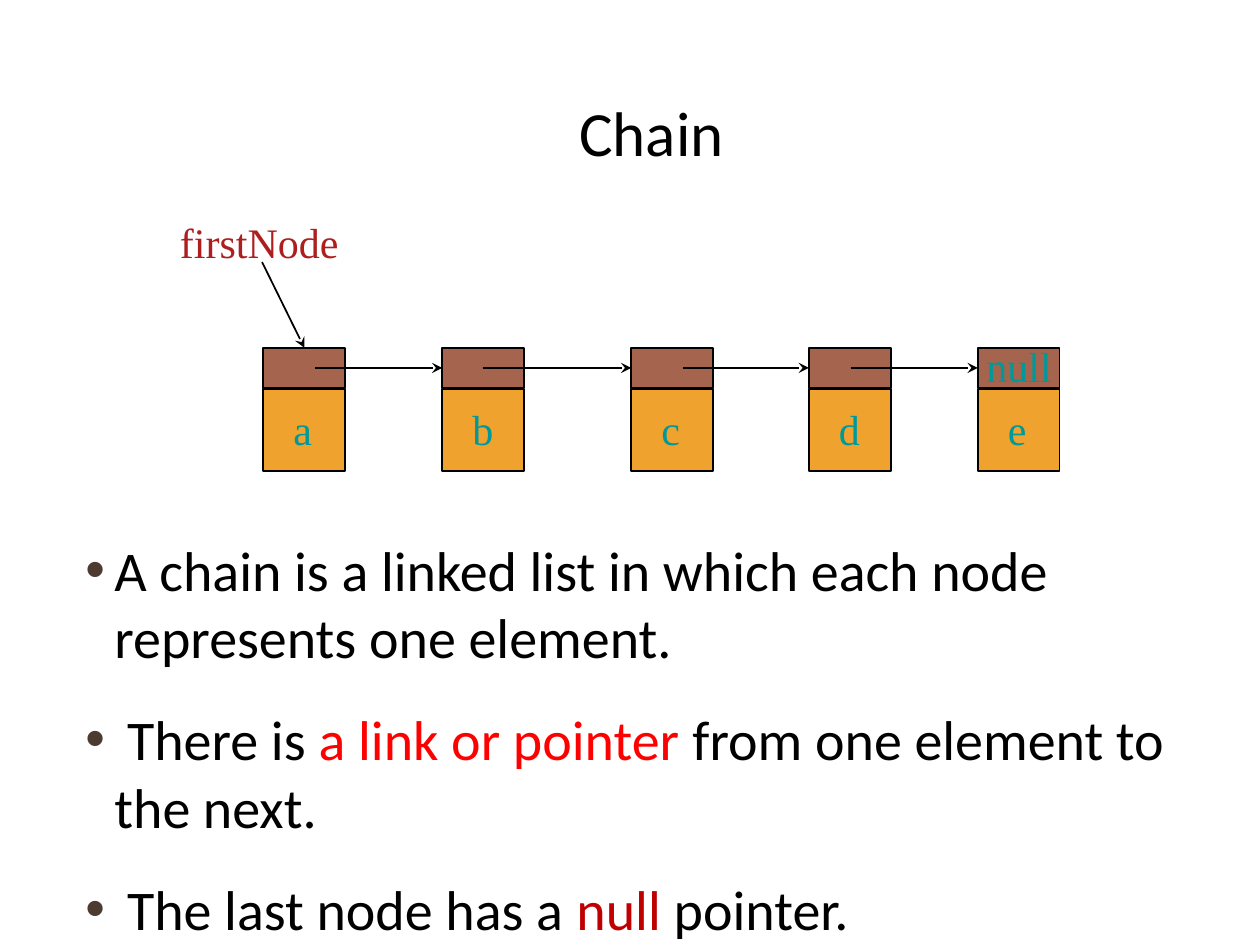
from dataclasses import dataclass
from typing import Optional

from lxml.etree import SubElement
from pptx import Presentation
from pptx.dml.color import RGBColor
from pptx.enum.shapes import MSO_CONNECTOR as Connector, MSO_SHAPE as Shape
from pptx.enum.text import MSO_ANCHOR as Anchor, PP_ALIGN as Align
from pptx.oxml.ns import qn
from pptx.util import Inches, Pt


@dataclass(frozen=True)
class Theme:
    black: str = "000000"
    red: str = "FF0000"
    dark_red: str = "C00000"
    label_red: str = "AD1F1F"
    teal: str = "009999"
    element_fill: str = "F0A22E"
    pointer_fill: str = "A5644E"
    bullet: str = "4E3B30"
    heading_font: str = "Calibri"
    diagram_font: str = "Times New Roman"
    title_size: int = 36
    body_size: int = 32
    label_size: int = 24
    body_gap: int = 20
    line_width: int = 1


THEME = Theme()


@dataclass(frozen=True)
class Box:
    left: float
    top: float
    width: float
    height: float

    def lengths(self) -> list:
        return [Inches(v) for v in (self.left, self.top, self.width, self.height)]


@dataclass(frozen=True)
class Node:
    element: str
    left: float
    link_start: Optional[float] = None


@dataclass(frozen=True)
class Run:
    text: str
    color: str = THEME.black


NODES = [
    Node("a", 2.09, 2.5),
    Node("b", 3.51, 3.83),
    Node("c", 5.01, 5.42),
    Node("d", 6.42, 6.75),
    Node("e", 7.76),
]
NODE_SIZE = 0.65
POINTER_TOP, POINTER_HEIGHT = 2.76, 0.32
ELEMENT_TOP = 3.09
LINK_Y = POINTER_TOP + POINTER_HEIGHT / 2
TOP_SIDE, LEFT_SIDE = 0, 1

BULLETS = [
    [Run("A chain is a linked list in which each node represents one element.")],
    [Run(" There is "), Run("a link or pointer ", THEME.red),
     Run("from one element to the next.")],
    [Run(" The last node has a "), Run("null", THEME.dark_red), Run(" pointer.")],
]


def add_text_frame(slide, box: Box, wrap: bool = True, anchor=Anchor.TOP):
    frame = slide.shapes.add_textbox(*box.lengths()).text_frame
    settings = {"word_wrap": wrap, "vertical_anchor": anchor}
    for name, value in settings.items():
        setattr(frame, name, value)
    return frame


def add_run(paragraph, run: Run, font: str, size: int) -> None:
    text_run = paragraph.add_run()
    text_run.text = run.text
    for name, value in {"name": font, "size": Pt(size)}.items():
        setattr(text_run.font, name, value)
    text_run.font.color.rgb = RGBColor.from_string(run.color)


def add_label(slide, box: Box, run: Run, wrap: bool = True) -> None:
    frame = add_text_frame(slide, box, wrap)
    add_run(frame.paragraphs[0], run, THEME.diagram_font, THEME.label_size)


def add_title(slide, box: Box, text: str) -> None:
    paragraph = add_text_frame(slide, box, anchor=Anchor.MIDDLE).paragraphs[0]
    paragraph.alignment = Align.CENTER
    add_run(paragraph, Run(text), THEME.heading_font, THEME.title_size)


def add_bullet(paragraph) -> None:
    """Give the paragraph a coloured bullet with a hanging indent."""
    properties = paragraph._p.get_or_add_pPr()
    indent = Inches(0.23)
    for name, value in {"marL": indent, "indent": -indent}.items():
        properties.set(name, str(value))
    color = SubElement(properties, qn("a:buClr"))
    SubElement(color, qn("a:srgbClr"), val=THEME.bullet)
    SubElement(properties, qn("a:buFont"), typeface="Arial")
    SubElement(properties, qn("a:buChar"), char="•")


def add_bullets(slide, box: Box, bullets: list[list[Run]]) -> None:
    frame = add_text_frame(slide, box)
    for index, runs in enumerate(bullets):
        paragraph = frame.add_paragraph() if index else frame.paragraphs[0]
        add_bullet(paragraph)
        if index:
            paragraph.space_before = Pt(THEME.body_gap)
        for run in runs:
            add_run(paragraph, run, THEME.heading_font, THEME.body_size)


def style_line(line) -> None:
    line.color.rgb = RGBColor.from_string(THEME.black)
    line.width = Pt(THEME.line_width)


def add_cell(slide, box: Box, fill: str):
    cell = slide.shapes.add_shape(Shape.RECTANGLE, *box.lengths())
    cell.shadow.inherit = False
    cell.fill.solid()
    cell.fill.fore_color.rgb = RGBColor.from_string(fill)
    style_line(cell.line)
    return cell


def add_node(slide, node: Node):
    """Draw one node and return its pointer cell."""
    add_cell(slide, Box(node.left, ELEMENT_TOP, NODE_SIZE, NODE_SIZE),
             THEME.element_fill)
    pointer = add_cell(slide, Box(node.left, POINTER_TOP, NODE_SIZE, POINTER_HEIGHT),
                       THEME.pointer_fill)
    add_label(slide, Box(node.left + 0.14, 3.15, 0.36, 0.5),
              Run(node.element, THEME.teal), wrap=False)
    return pointer


def add_arrow(slide, left: float, top: float, target, side: int) -> None:
    start = Inches(left), Inches(top)
    arrow = slide.shapes.add_connector(Connector.STRAIGHT, *start, *start)
    arrow.end_connect(target, side)
    style_line(arrow.line)
    SubElement(arrow.line._get_or_add_ln(), qn("a:tailEnd"), type="stealth")
    SubElement(arrow._element.spPr, qn("a:effectLst"))


def main() -> None:
    presentation = Presentation()
    presentation.slide_width = Inches(10)
    presentation.slide_height = Inches(7.5)
    slide = presentation.slides.add_slide(presentation.slide_layouts[6])

    add_title(slide, Box(0.92, 0.42, 8.5, 1.25), "Chain")
    add_bullets(slide, Box(0.58, 4.2, 9.17, 3.32), BULLETS)

    pointers = [add_node(slide, node) for node in NODES]
    for node, target in zip(NODES, pointers[1:]):
        add_arrow(slide, node.link_start, LINK_Y, target, LEFT_SIDE)

    add_label(slide, Box(7.73, 2.65, 0.82, 0.5), Run("null", THEME.teal))
    add_label(slide, Box(1.33, 1.67, 1.83, 0.5), Run("firstNode", THEME.label_red))
    add_arrow(slide, 2.08, 2.08, pointers[0], TOP_SIDE)

    presentation.save("out.pptx")


if __name__ == "__main__":
    main()
